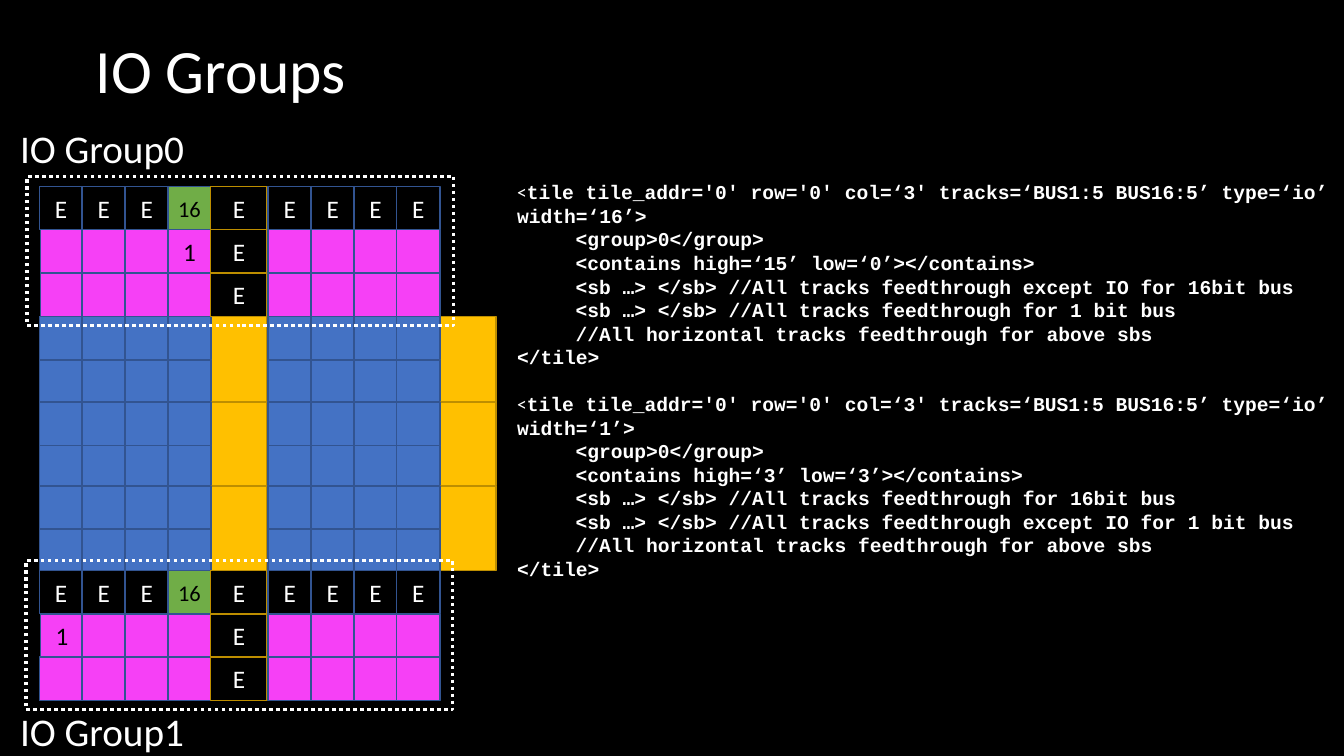
from dataclasses import dataclass

from pptx import Presentation
from pptx.dml.color import RGBColor
from pptx.enum.dml import MSO_LINE
from pptx.enum.shapes import MSO_SHAPE
from pptx.enum.text import MSO_ANCHOR, PP_ALIGN
from pptx.shapes.autoshape import Shape
from pptx.slide import Slide
from pptx.util import Inches, Pt


@dataclass(frozen=True)
class Theme:
    black: str = "000000"
    white: str = "FFFFFF"
    blue: str = "4472C4"
    blue_line: str = "325491"
    gold: str = "FFC000"
    gold_line: str = "BD8E00"
    magenta: str = "F640F6"
    green: str = "70AD47"
    font: str = "Calibri"
    code_font: str = "Courier New"
    title_size: int = 44
    label_size: int = 28
    cell_size: int = 18
    bus_size: int = 16
    code_size: int = 14
    code_line: float = 16.8


@dataclass(frozen=True)
class Box:
    left: float
    top: float
    width: float
    height: float


@dataclass(frozen=True)
class IoGroup:
    label: str
    label_top: float
    top: float
    rows: tuple[str, ...]  # E = empty, M = magenta, 1 = 1-bit IO, G = 16-bit IO
    first_lefts: tuple[float, ...]
    frame: Box


@dataclass(frozen=True)
class Tile:
    width: int
    high: int
    low: int
    bus_comment: str
    bit_comment: str


THEME = Theme()
CELL = 0.43
GOLD_WIDTH = 0.56
GOLD_LEFT = 2.09
SECOND_GOLD_LEFT = 4.36
COLUMN_PITCH = 1.7 / 4
LEFT_COLUMNS = [0.39 + index * COLUMN_PITCH for index in range(4)]
RIGHT_COLUMNS = [2.66 + index * COLUMN_PITCH for index in range(4)]
FABRIC_TOPS = (3.14, 3.99, 4.82, 5.66)

CELL_STYLES = {  # code: fill, text, text colour, text size
    "E": (THEME.black, "E", THEME.white, THEME.cell_size),
    "M": (THEME.magenta, "", THEME.black, THEME.cell_size),
    "1": (THEME.magenta, "1", THEME.black, THEME.cell_size),
    "G": (THEME.green, "16", THEME.black, THEME.bus_size),
}
GROUPS = (
    IoGroup("IO Group0", 1.18, 1.85, ("EEEGEEEEE", "MMM1EMMMM", "MMMMEMMMM"),
            (0.39, 0.4, 0.4), Box(0.27, 1.75, 4.23, 1.48)),
    IoGroup("IO Group1", 6.97, 5.66, ("EEEGEEEEE", "1MMMEMMMM", "MMMMEMMMM"),
            (0.39, 0.4, 0.39), Box(0.26, 5.56, 4.23, 1.48)),
)
TILES = (
    Tile(16, 15, 0, "except IO for 16bit bus", "for 1 bit bus"),
    Tile(1, 3, 3, "for 16bit bus", "except IO for 1 bit bus"),
)


def style_run(run, size: float, color: str, font: str = THEME.font, bold: bool = False) -> None:
    run.font.size = Pt(size)
    run.font.name = font
    run.font.bold = bold
    run.font.color.rgb = RGBColor.from_string(color)


def add_rectangle(slide: Slide, box: Box, line: str, fill: str | None = None) -> Shape:
    shape = slide.shapes.add_shape(MSO_SHAPE.RECTANGLE, Inches(box.left), Inches(box.top),
                                   Inches(box.width), Inches(box.height))
    shape.shadow.inherit = False
    if fill is None:
        shape.fill.background()
    else:
        shape.fill.solid()
        shape.fill.fore_color.rgb = RGBColor.from_string(fill)
    shape.line.color.rgb = RGBColor.from_string(line)
    shape.line.width = Pt(1)
    return shape


def add_cell(slide: Slide, box: Box, line: str, code: str) -> None:
    fill, text, color, size = CELL_STYLES[code]
    shape = add_rectangle(slide, box, line, fill)
    if text:
        frame = shape.text_frame
        frame.text = text
        frame.margin_left = frame.margin_right = 0
        frame.vertical_anchor = MSO_ANCHOR.MIDDLE
        paragraph = frame.paragraphs[0]
        paragraph.alignment = PP_ALIGN.CENTER
        style_run(paragraph.runs[0], size, color)


def add_text(slide: Slide, box: Box, text: str, size: int, wrap: bool = True) -> Shape:
    shape = slide.shapes.add_textbox(Inches(box.left), Inches(box.top),
                                     Inches(box.width), Inches(box.height))
    shape.text_frame.word_wrap = wrap
    shape.text_frame.text = text
    for paragraph in shape.text_frame.paragraphs:
        style_run(paragraph.runs[0], size, THEME.white)
    return shape


def add_fabric(slide: Slide) -> None:
    for top, bottom in zip(FABRIC_TOPS, FABRIC_TOPS[1:]):
        for left in (GOLD_LEFT, SECOND_GOLD_LEFT):
            add_rectangle(slide, Box(left, top, GOLD_WIDTH, bottom - top),
                          THEME.gold_line, THEME.gold)
        for row_top in (top, top + CELL):
            for left in LEFT_COLUMNS + RIGHT_COLUMNS:
                add_rectangle(slide, Box(left, row_top, CELL, CELL),
                              THEME.blue_line, THEME.blue)


def add_group(slide: Slide, group: IoGroup) -> None:
    # Upper rows overlap the rows below them
    for index in reversed(range(len(group.rows))):
        top = group.top + index * CELL
        lefts = [group.first_lefts[index], *LEFT_COLUMNS[1:], GOLD_LEFT, *RIGHT_COLUMNS]
        for left, code in zip(lefts, group.rows[index]):
            is_gold = left == GOLD_LEFT
            add_cell(slide, Box(left, top, GOLD_WIDTH if is_gold else CELL, CELL),
                     THEME.gold_line if is_gold else THEME.blue_line, code)
    add_text(slide, Box(0.1, group.label_top, 1.85, 0.57), group.label,
             THEME.label_size, wrap=False)
    frame = add_rectangle(slide, group.frame, THEME.white)
    frame.line.width = Pt(2.5)
    frame.line.dash_style = MSO_LINE.ROUND_DOT


def tile_lines(tile: Tile) -> list[str]:
    return [
        f"tile tile_addr='0' row='0' col=‘3' tracks=‘BUS1:5 BUS16:5’ type=‘io’ width=‘{tile.width}’>",
        "<group>0</group>",
        f"<contains high=‘{tile.high}’ low=‘{tile.low}’></contains>",
        f"<sb …> </sb> //All tracks feedthrough {tile.bus_comment}",
        f"<sb …> </sb> //All tracks feedthrough {tile.bit_comment}",
        "//All horizontal tracks feedthrough for above sbs",
        "</tile>",
    ]


def add_code(slide: Slide, box: Box) -> None:
    lines = [line for tile in TILES for line in tile_lines(tile)]
    shape = add_text(slide, box, "\n".join(lines), THEME.code_size)
    for index, paragraph in enumerate(shape.text_frame.paragraphs):
        paragraph.line_spacing = Pt(THEME.code_line)
        text = lines[index]
        if text.startswith("tile"):
            paragraph.runs[0].text = "<"  # the opening bracket keeps the regular font
            paragraph.add_run().text = text
            if index:
                paragraph.space_before = Pt(THEME.code_line)
        elif text != "</tile>":
            properties = paragraph._p.get_or_add_pPr()
            properties.set("marL", str(Inches(0.58)))
            properties.set("indent", "0")
        style_run(paragraph.runs[-1], THEME.code_size, THEME.white, THEME.code_font, bold=True)


# Slide
presentation = Presentation()
presentation.slide_width = Inches(13.33)
presentation.slide_height = Inches(7.5)
slide = presentation.slides.add_slide(presentation.slide_layouts[6])
slide.background.fill.solid()
slide.background.fill.fore_color.rgb = RGBColor.from_string(THEME.black)

# Title
title = add_text(slide, Box(0.85, 0, 11.5, 1.45), "IO Groups", THEME.title_size)
title.text_frame.vertical_anchor = MSO_ANCHOR.MIDDLE
title.text_frame.paragraphs[0].line_spacing = 0.9

# Tile grid and its IO groups
add_fabric(slide)
for io_group in GROUPS:
    add_group(slide, io_group)

# Tile listing
add_code(slide, Box(5.03, 1.74, 8.41, 4.34))

presentation.save("out.pptx")
